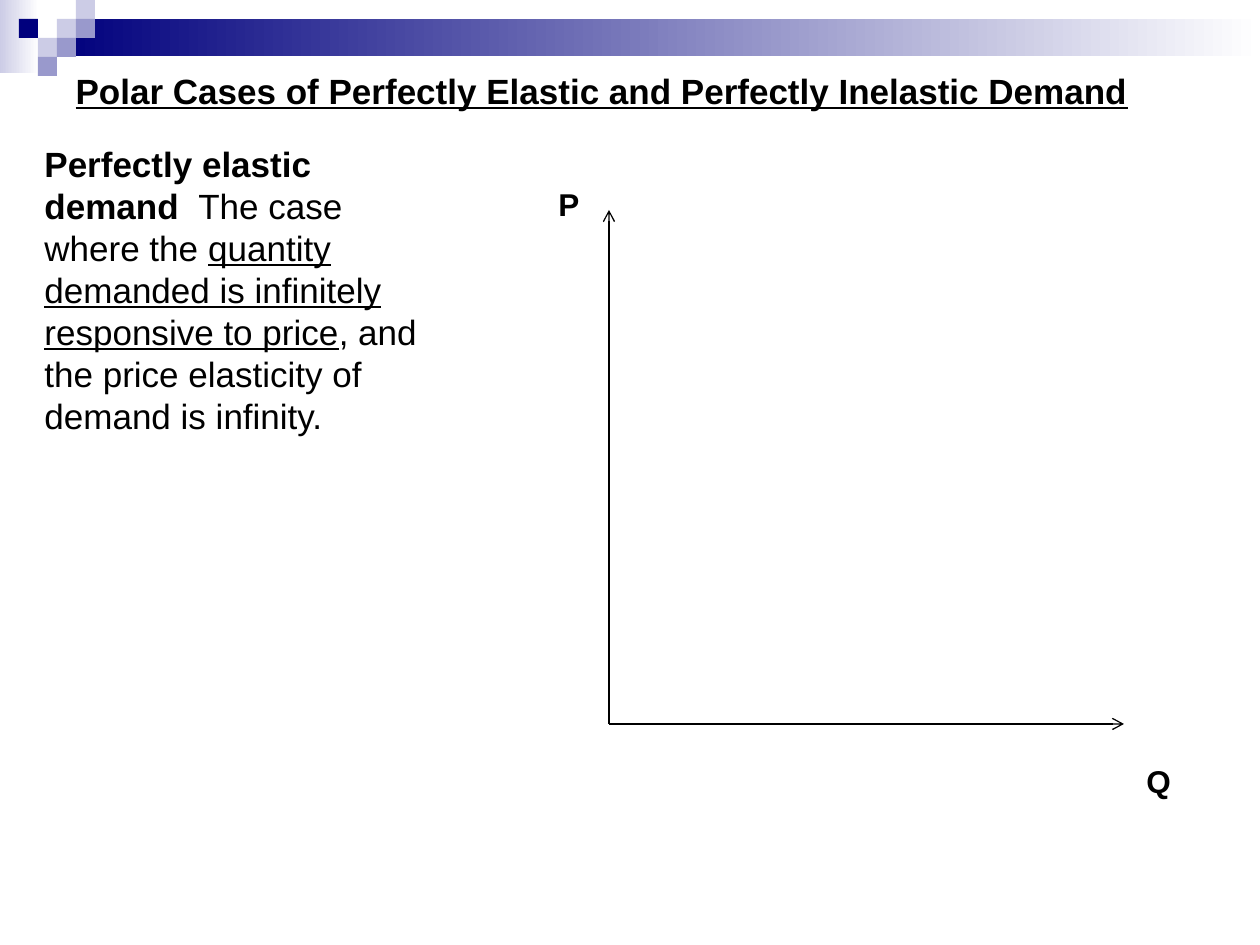
from lxml import etree
from pptx import Presentation
from pptx.dml.color import RGBColor
from pptx.enum.shapes import MSO_CONNECTOR, MSO_SHAPE
from pptx.enum.text import MSO_AUTO_SIZE
from pptx.oxml.ns import qn
from pptx.util import Emu, Pt

RECTANGLE = MSO_SHAPE.RECTANGLE
STRAIGHT = MSO_CONNECTOR.STRAIGHT
FIT_SHAPE = MSO_AUTO_SIZE.SHAPE_TO_FIT_TEXT
BLACK = RGBColor(0x00, 0x00, 0x00)
WHITE = RGBColor(0xFF, 0xFF, 0xFF)
NAVY = RGBColor(0x00, 0x00, 0x7D)
LAVENDER = RGBColor(0xCC, 0xCC, 0xE6)
PERIWINKLE = RGBColor(0x99, 0x99, 0xCC)

FONT = "Arial"
PAGE_SIZE = (1260, 945)
TILE = 19

HEADING = [("Polar Cases of Perfectly Elastic and Perfectly Inelastic Demand", True, True)]
HEADING_AREA = (63, 63, 1134, 809)
DEFINITION = [
    ("Perfectly elastic demand  ", True, False),
    ("The case where the ", False, False),
    ("quantity demanded is infinitely responsive to price", False, True),
    (", and the price elasticity of demand is infinity.", False, False),
]
DEFINITION_AREA = (32, 136, 399, 348)
AXIS_LABELS = [("P", (546, 179, 47, 50)), ("Q", (1134, 756, 50, 50))]
ORIGIN = (609, 724)
AXIS_ENDS = [(609, 210), (1124, 724)]

BANDS = [((0, 0, 39, 73), LAVENDER), ((57, 19, 1203, 37), NAVY)]
TILES = [
    (3, 1, LAVENDER), (4, 0, LAVENDER), (4, 1, PERIWINKLE), (2, 2, LAVENDER),
    (1, 1, NAVY), (3, 2, PERIWINKLE), (2, 3, PERIWINKLE),
]


def px(*lengths):
    return [Emu(round(length * 914400 / 126)) for length in lengths]


def add_rectangle(page, area):
    box = page.shapes.add_shape(RECTANGLE, *px(*area))
    box.shadow.inherit = False
    box.line.fill.background()
    return box


def add_band(page, area, color):
    fill = add_rectangle(page, area).fill
    fill.gradient()
    fill.gradient_angle = 0
    for stop, shade, position in zip(fill.gradient_stops, (color, WHITE), (0, 1)):
        stop.color.rgb = shade
        stop.position = position


def add_tile(page, column, row, color):
    fill = add_rectangle(page, (column * TILE, row * TILE, TILE, TILE)).fill
    fill.solid()
    fill.fore_color.rgb = color


def write(para, spans, size):
    for text, bold, underline in spans:
        span = para.add_run()
        span.text = text
        font = span.font
        font.name, font.size = FONT, Pt(size)
        font.bold, font.underline = bold, underline
        font.color.rgb = BLACK


def add_heading(page):
    page.shapes.title.element.getparent().remove(page.shapes.title.element)
    body = page.placeholders[1]
    body.left, body.top, body.width, body.height = px(*HEADING_AREA)
    para = body.text_frame.paragraphs[0]
    para.space_before = Pt(4)
    properties = para._p.get_or_add_pPr()
    properties.set("marL", "0")
    properties.set("indent", "0")
    etree.SubElement(properties, qn("a:buNone"))
    write(para, HEADING, 20)


def add_text(page, area, spans, size, wrap):
    frame = page.shapes.add_textbox(*px(*area)).text_frame
    frame.word_wrap = wrap
    frame.auto_size = FIT_SHAPE
    write(frame.paragraphs[0], spans, size)


def add_axis(page, end):
    axis = page.shapes.add_connector(STRAIGHT, *px(*ORIGIN, *end))
    axis.line.color.rgb = BLACK
    axis.line.width = Pt(0.75)
    etree.SubElement(axis.line._get_or_add_ln(), qn("a:tailEnd"), type="arrow")
    etree.SubElement(axis._element.spPr, qn("a:effectLst"))


def main():
    deck = Presentation()
    deck.slide_width, deck.slide_height = px(*PAGE_SIZE)
    page = deck.slides.add_slide(deck.slide_layouts[1])
    for area, color in BANDS:
        add_band(page, area, color)
    for column, row, color in TILES:
        add_tile(page, column, row, color)
    add_heading(page)
    add_text(page, DEFINITION_AREA, DEFINITION, 20, True)
    for end in AXIS_ENDS:
        add_axis(page, end)
    for label, area in AXIS_LABELS:
        add_text(page, area, [(label, True, False)], 18, False)
    deck.save("out.pptx")


if __name__ == "__main__":
    main()
